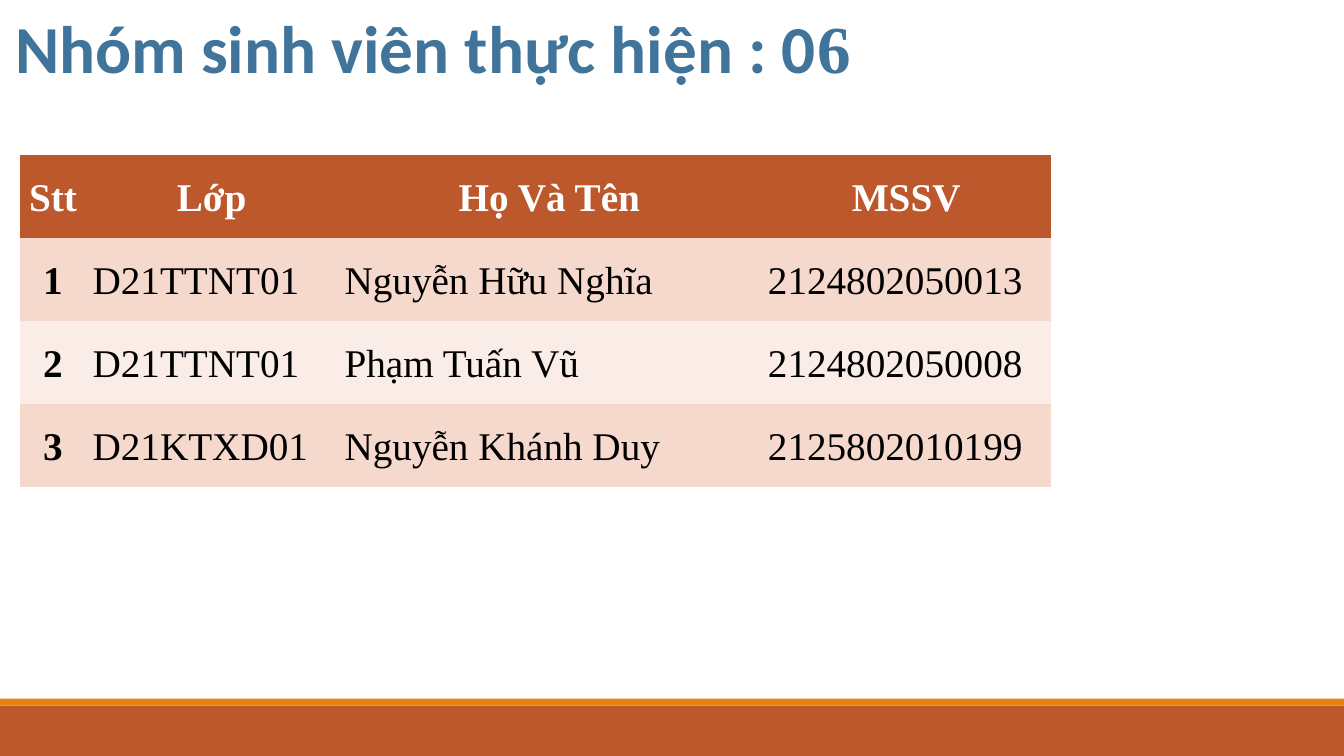
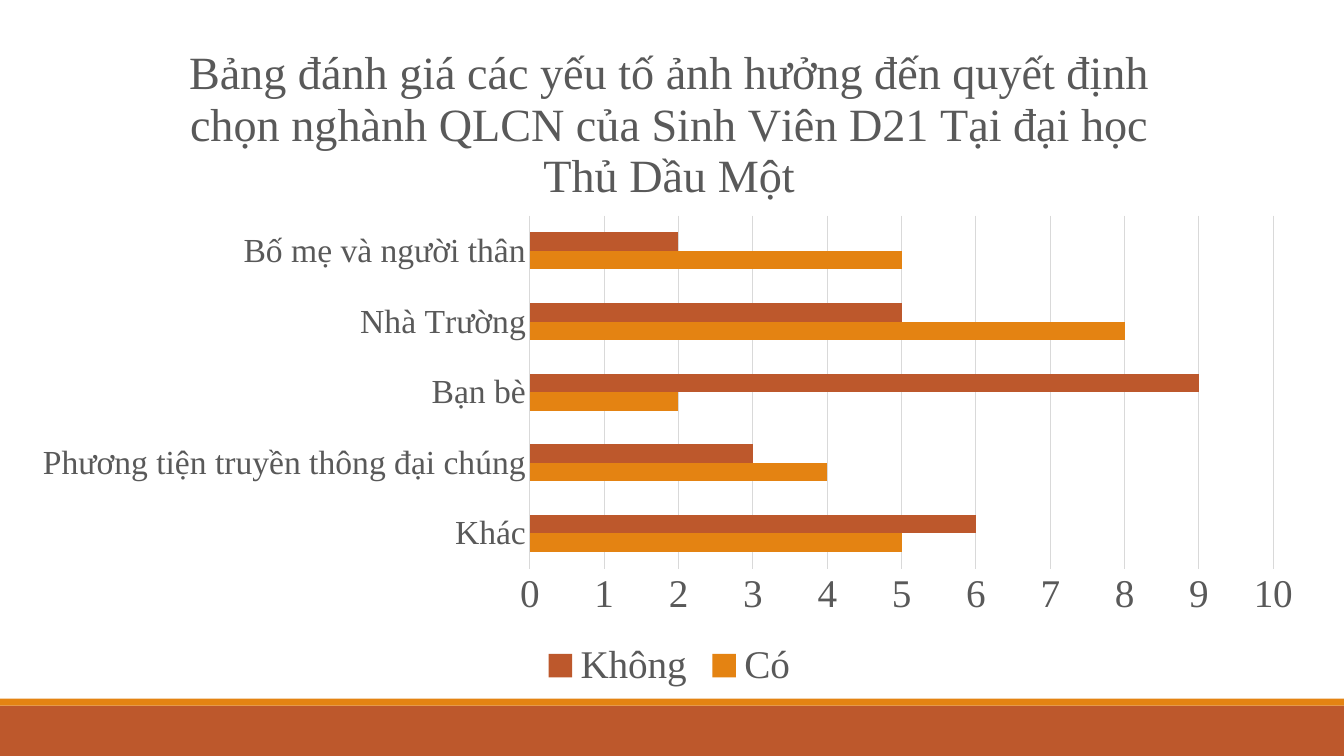
from dataclasses import dataclass

from lxml.etree import SubElement
from pptx import Presentation
from pptx.chart.data import CategoryChartData
from pptx.dml.color import RGBColor
from pptx.enum.chart import XL_CHART_TYPE, XL_LEGEND_POSITION, XL_TICK_MARK
from pptx.enum.shapes import MSO_SHAPE
from pptx.enum.text import MSO_ANCHOR, PP_ALIGN
from pptx.oxml.ns import qn
from pptx.util import Pt


@dataclass(frozen=True)
class Theme:
    rust: str = "BD582C"
    orange: str = "E48312"
    blue: str = "40749B"
    white: str = "FFFFFF"
    black: str = "000000"
    gray: str = "595959"
    rule: str = "D9D9D9"
    odd_row: str = "F5D9CC"
    even_row: str = "FAEDE7"
    serif: str = "Times New Roman"
    sans: str = "Calibri"
    title_size: int = 48
    chart_title_size: int = 33
    body_size: int = 28
    category_size: int = 24


theme = Theme()


def paint(fill, color):
    fill.solid()
    fill.fore_color.rgb = RGBColor.from_string(color)


def style_font(font, size, color, name=theme.serif, bold=False):
    font.size = Pt(size)
    font.name = name
    font.bold = bold
    font.color.rgb = RGBColor.from_string(color)


deck = Presentation()
deck.slide_width, deck.slide_height = Pt(960), Pt(540)
team_page = deck.slides.add_slide(deck.slide_layouts.get_by_name("Title Only"))
chart_page = deck.slides.add_slide(deck.slide_layouts.get_by_name("Blank"))

# Footer bands, moved to the master so that every slide shows them
master_tree = deck.slide_master.shapes.element
for number, (top, height, color) in enumerate(
    [(504, 36, theme.rust), (499, 5, theme.orange)]
):
    band = team_page.shapes.add_shape(
        MSO_SHAPE.RECTANGLE, 0, Pt(top), deck.slide_width, Pt(height)
    )
    band.shadow.inherit = False
    band.line.fill.background()
    paint(band.fill, color)
    band.name = f"Footer band {number + 1}"
    band.element.nvSpPr.cNvPr.set("id", str(101 + number))
    master_tree.insert(2 + number, band.element)

# Slide 1: title
title = team_page.shapes.title
title.left, title.top, title.width, title.height = Pt(3.6), 0, Pt(695), Pt(66)
paint(title.fill, theme.white)
title.text_frame.vertical_anchor = MSO_ANCHOR.MIDDLE
para = title.text_frame.paragraphs[0]
para.alignment = PP_ALIGN.LEFT
for text, name in [("Nhóm sinh viên thực hiện : 0", theme.sans), ("6", theme.serif)]:
    span = para.add_run()
    span.text = text
    style_font(span.font, theme.title_size, theme.blue, name, bold=True)

# Slide 1: table of members
rows = [
    ("Stt", "Lớp", "Họ Và Tên", "MSSV"),
    ("1", "D21TTNT01", "Nguyễn Hữu Nghĩa", "2124802050013"),
    ("2", "D21TTNT01", "Phạm Tuấn Vũ", "2124802050008"),
    ("3", "D21KTXD01", "Nguyễn Khánh Duy", "2125802010199"),
]
column_widths = [46.8, 180, 302.4, 207.4]
row_height = 59.2
frame = team_page.shapes.add_table(
    len(rows), len(column_widths), Pt(14.4), Pt(110.8),
    Pt(sum(column_widths)), Pt(row_height * len(rows)),
)
# The plain table style has neither bands nor borders
frame.element.find(".//" + qn("a:tableStyleId")).text = (
    "{2D5ABB26-0587-4C30-8999-92F81FD0307C}"
)
table = frame.table
for column, width in zip(table.columns, column_widths):
    column.width = Pt(width)
for r, row in enumerate(rows):
    table.rows[r].height = Pt(row_height)
    is_header = r == 0
    row_color = theme.odd_row if r % 2 else theme.even_row
    for c, text in enumerate(row):
        is_heading = is_header or c == 0
        cell = table.cell(r, c)
        cell.text = text
        cell.margin_left = cell.margin_right = Pt(5)
        cell.margin_top = cell.margin_bottom = 0
        paint(cell.fill, theme.rust if is_header else row_color)
        para = cell.text_frame.paragraphs[0]
        para.line_spacing = 1.5
        para.alignment = PP_ALIGN.CENTER if is_heading else PP_ALIGN.LEFT
        style_font(
            para.font, theme.body_size,
            theme.white if is_header else theme.black, bold=is_heading,
        )

# Slide 2: bar chart
data = CategoryChartData()
data.categories = [
    "Khác",
    "Phương tiện truyền thông đại chúng",
    "Bạn bè",
    "Nhà Trường",
    "Bố mẹ và người thân",
]
data.add_series("Có", (5, 4, 2, 8, 5))
data.add_series("Không", (6, 3, 9, 5, 2))
chart = chart_page.shapes.add_chart(
    XL_CHART_TYPE.BAR_CLUSTERED, Pt(13), Pt(11.5), Pt(930), Pt(485), data
).chart
style_font(chart.font, theme.body_size, theme.black)

chart_title = chart.chart_title.text_frame
chart_title.text = (
    "Bảng đánh giá các yếu tố ảnh hưởng đến quyết định chọn nghành QLCN "
    "của Sinh Viên D21 Tại đại học Thủ Dầu Một"
)
style_font(chart_title.paragraphs[0].font, theme.chart_title_size, theme.gray)
chart.chart_title.include_in_layout = False

# Bars
plot = chart.plots[0]
plot.gap_width = 182
plot.overlap = 0
plot.vary_by_categories = False
for series, color in zip(plot.series, (theme.orange, theme.rust)):
    paint(series.format.fill, color)

# Axes and legend
category_axis, value_axis = chart.category_axis, chart.value_axis
for axis, size in [
    (category_axis, theme.category_size), (value_axis, theme.body_size)
]:
    axis.major_tick_mark = axis.minor_tick_mark = XL_TICK_MARK.NONE
    style_font(axis.tick_labels.font, size, theme.gray)
value_axis.minimum_scale, value_axis.maximum_scale = 0, 10
value_axis.major_unit = 1
value_axis.format.line.fill.background()
for line in (category_axis.format.line, value_axis.major_gridlines.format.line):
    line.width = Pt(0.75)
    paint(line.fill, theme.rule)
chart.has_legend = True
chart.legend.position = XL_LEGEND_POSITION.BOTTOM
chart.legend.include_in_layout = False
style_font(chart.legend.font, theme.body_size, theme.gray)

# Fixed plot area, as shares of the chart, leaving room for long labels
plot_area = chart.element.find(".//" + qn("c:plotArea"))
layout = plot_area.find(qn("c:layout"))
if layout is None:
    layout = SubElement(plot_area, qn("c:layout"))
    plot_area.insert(0, layout)
manual = SubElement(layout, qn("c:manualLayout"))
for tag, value in [
    ("layoutTarget", "inner"), ("xMode", "edge"), ("yMode", "edge"),
    ("x", "0.393"), ("y", "0.294"), ("w", "0.571"), ("h", "0.52"),
]:
    SubElement(manual, qn(f"c:{tag}")).set("val", value)

deck.save("out.pptx")
